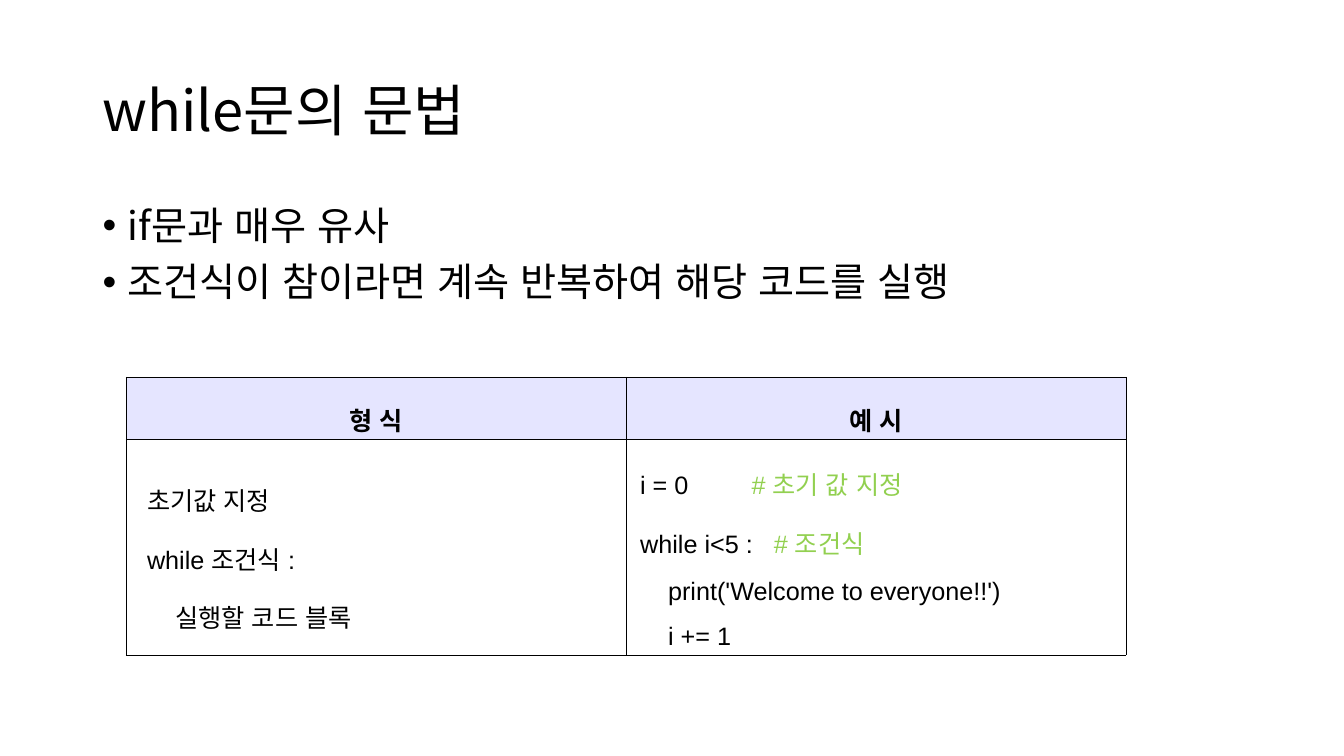
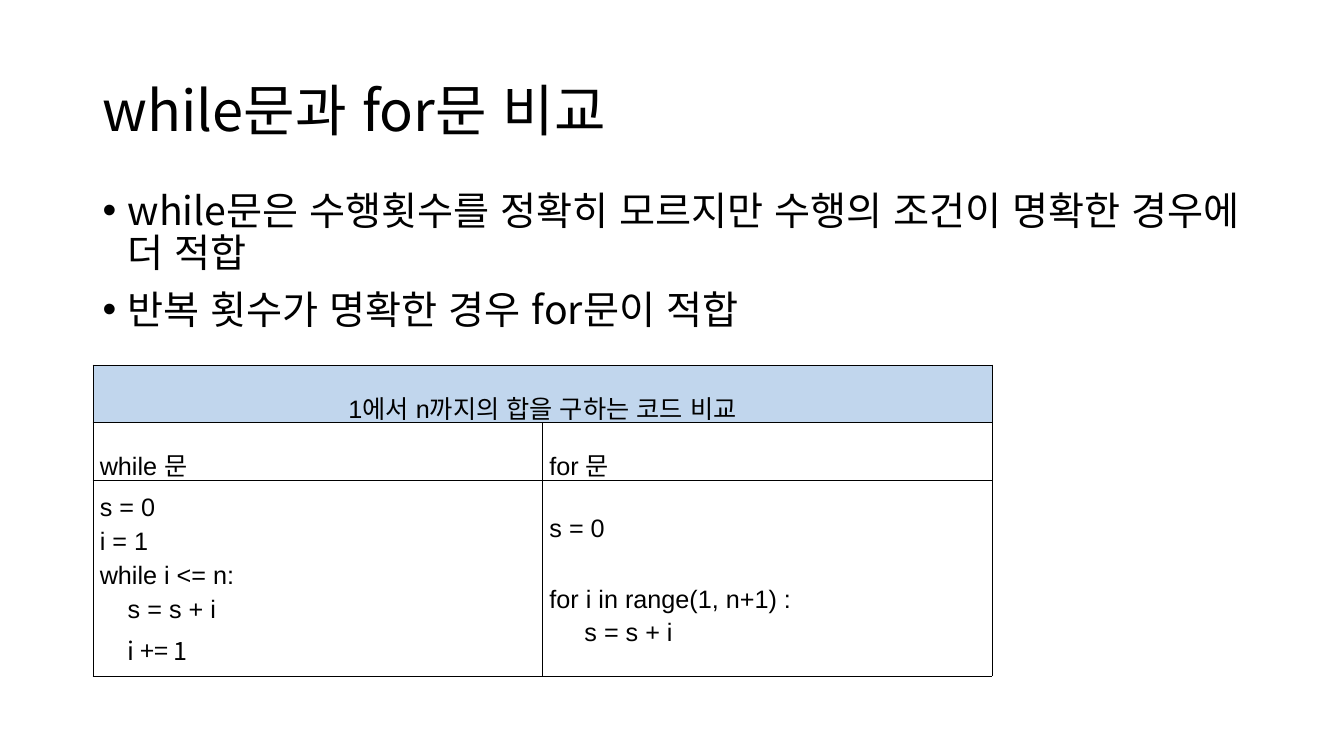
from dataclasses import dataclass

from lxml.etree import SubElement
from pptx import Presentation
from pptx.dml.color import RGBColor as RGB
from pptx.enum.lang import MSO_LANGUAGE_ID as Lang
from pptx.enum.text import MSO_ANCHOR as Anchor, PP_ALIGN as Align
from pptx.oxml.ns import qn
from pptx.util import Inches, Pt


@dataclass(frozen=True)
class Theme:
    ink: RGB = RGB(0x00, 0x00, 0x00)
    comment: RGB = RGB(0x92, 0xD0, 0x50)
    lavender: RGB = RGB(0xE5, 0xE5, 0xFF)
    sky: RGB = RGB(0xC1, 0xD6, 0xED)
    main_font: str = "Noto Sans CJK KR"
    code_font: str = "Arial"
    title_size: Pt = Pt(40)
    bullet_size: Pt = Pt(28)
    table_size: Pt = Pt(18)
    border: Pt = Pt(0.28)
    left: float = 0.92
    width: float = 11.5


THEME = Theme()
HEADING = {"alignment": Align.CENTER, "line_spacing": 1.6}
LABEL = {"line_spacing": 1.6}
SYNTAX = {"alignment": Align.JUSTIFY, "line_spacing": 1.6}
CODE = {"line_spacing": 1.2}
CELL = {"vertical_anchor": Anchor.MIDDLE,
        "margin_left": Inches(0.07), "margin_right": Inches(0.07),
        "margin_top": Inches(0.02), "margin_bottom": Inches(0.02)}


def apply(target, values):
    for name, value in values.items():
        setattr(target, name, value)


def add_text(paragraph, text, size, font=THEME.main_font, color=THEME.ink, bold=False):
    """Add text to a paragraph, with a line break at each newline."""
    for number, line in enumerate(text.split("\n")):
        if number:
            paragraph.add_line_break()
        if not line:
            continue
        run = paragraph.add_run()
        run.text = line
        apply(run.font, {"size": size, "name": font, "bold": bold,
                         "language_id": Lang.KOREAN})
        run.font.color.rgb = color
        east_asian = SubElement(run.font._element, qn("a:ea"))
        east_asian.set("typeface", THEME.main_font)


def paragraphs(frame, count):
    return [frame.paragraphs[0]] + [frame.add_paragraph() for _ in range(count - 1)]


def add_box(slide, top, height, anchor=Anchor.TOP):
    box = slide.shapes.add_textbox(Inches(THEME.left), Inches(top),
                                   Inches(THEME.width), Inches(height))
    apply(box.text_frame, {"word_wrap": True, "vertical_anchor": anchor})
    return box.text_frame


def add_title(slide, text):
    paragraph = add_box(slide, 0.4, 1.45, Anchor.MIDDLE).paragraphs[0]
    paragraph.line_spacing = 0.9
    add_text(paragraph, text, THEME.title_size)


def add_bullets(slide, top, height, items):
    frame = add_box(slide, top, height)
    for number, (paragraph, item) in enumerate(zip(paragraphs(frame, len(items)), items)):
        apply(paragraph, {"line_spacing": 0.9, "space_before": Pt(10 if number else 0)})
        properties = paragraph._p.get_or_add_pPr()
        properties.set("marL", str(Inches(0.25)))
        properties.set("indent", str(Inches(-0.25)))
        SubElement(properties, qn("a:buFont")).set("typeface", "Arial")
        SubElement(properties, qn("a:buChar")).set("char", "•")
        add_text(paragraph, item, THEME.bullet_size)


def add_borders(cell):
    properties = cell._tc.get_or_add_tcPr()
    for side in ("lnL", "lnR", "lnT", "lnB"):
        line = SubElement(properties, qn(f"a:{side}"), w=str(int(THEME.border)))
        fill = SubElement(line, qn("a:solidFill"))
        SubElement(fill, qn("a:srgbClr"), val=str(THEME.ink))


def fill_cell(cell, lines, layout, fill=None, bold=False):
    """Write lines into a cell; a line is a list of (text, run format) pairs or a string."""
    apply(cell, CELL)
    if fill:
        cell.fill.solid()
        cell.fill.fore_color.rgb = fill
    for paragraph, line in zip(paragraphs(cell.text_frame, len(lines)), lines):
        apply(paragraph, layout)
        for text, style in [(line, {})] if isinstance(line, str) else line:
            add_text(paragraph, text, THEME.table_size,
                     **{"font": THEME.code_font, "bold": bold, **style})


def add_grid(slide, left, top, column_width, row_heights):
    """Add a bordered, unfilled table with two equal columns."""
    table = slide.shapes.add_table(len(row_heights), 2, Inches(left), Inches(top),
                                   Inches(2 * column_width),
                                   Inches(sum(row_heights))).table
    apply(table, {"first_row": False, "horz_banding": False})
    for column in table.columns:
        column.width = Inches(column_width)
    for row, height in zip(table.rows, row_heights):
        row.height = Inches(height)
    for cell in table.iter_cells():
        add_borders(cell)
        cell.fill.background()
    return table


def build_syntax_slide(slide):
    add_title(slide, "while문의 문법")
    table = add_grid(slide, 1.25, 3.74, 4.96, [0.62, 2.14])
    for column, heading in enumerate(("형 식", "예 시")):
        fill_cell(table.cell(0, column), [heading], HEADING, THEME.lavender, bold=True)
    note = {"color": THEME.comment}
    fill_cell(table.cell(1, 0),
              ["  초기값 지정", "  while 조건식 :", "      실행할 코드 블록"], SYNTAX)
    fill_cell(table.cell(1, 1),
              [[(" i = 0         ", {}), ("# 초기 값 지정", note)],
               [(" while i<5 :   ", {}), ("# 조건식", note)],
               "     print('Welcome to everyone!!')",
               "     i += 1"], SYNTAX)
    add_bullets(slide, 2, 4.76, ["if문과 매우 유사",
                                 "조건식이 참이라면 계속 반복하여 해당 코드를 실행"])


def build_comparison_slide(slide):
    add_title(slide, "while문과 for문 비교")
    table = add_grid(slide, THEME.left, 3.62, 4.46, [0.57, 0.57, 1.95])
    table.cell(0, 0).merge(table.cell(0, 1))
    fill_cell(table.cell(0, 0), ["1에서 n까지의 합을 구하는 코드 비교"], HEADING, THEME.sky)
    for column, label in enumerate(("while 문", "for 문")):
        fill_cell(table.cell(1, column), [label], LABEL)
    fill_cell(table.cell(2, 0),
              ["s = 0\ni = 1\nwhile i <= n:\n    s = s + i",
               [("    ", {}), ("i += 1", {"font": THEME.main_font})]], CODE)
    fill_cell(table.cell(2, 1),
              ["s = 0\n\nfor i in range(1, n+1) :\n     s = s + i"], CODE)
    add_bullets(slide, 1.85, 5.08,
                ["while문은 수행횟수를 정확히 모르지만 수행의 조건이 명확한 경우에 더 적합",
                 "반복 횟수가 명확한 경우 for문이 적합"])


def main():
    deck = Presentation()
    apply(deck, {"slide_width": Inches(13.33), "slide_height": Inches(7.5)})
    for build in (build_syntax_slide, build_comparison_slide):
        build(deck.slides.add_slide(deck.slide_layouts[6]))
    deck.save("out.pptx")


if __name__ == "__main__":
    main()
